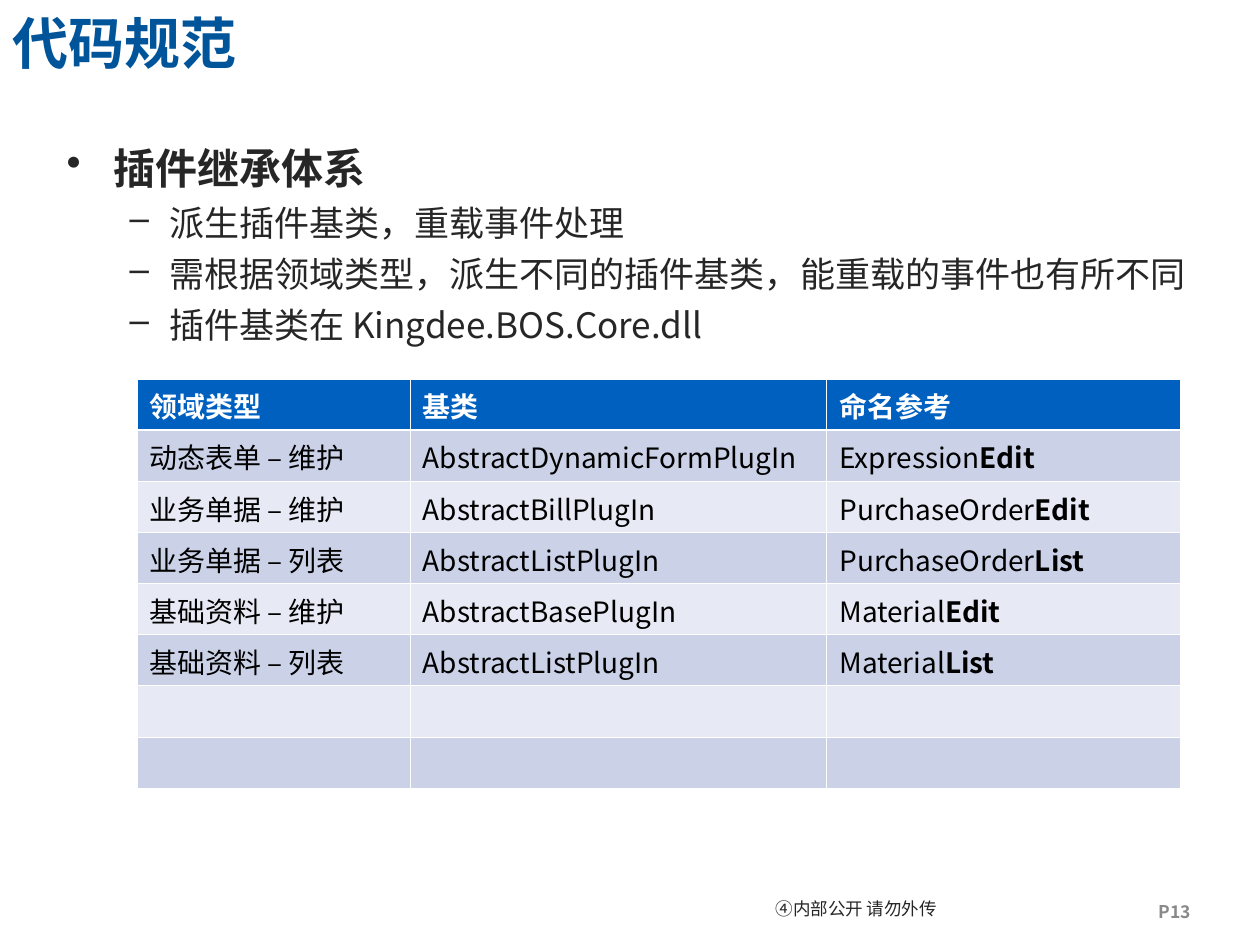
from dataclasses import dataclass

from lxml import etree
from pptx import Presentation
from pptx.dml.color import RGBColor
from pptx.enum import text
from pptx.oxml import ns
from pptx.util import Pt

# Content
TITLE = "代码规范"
BULLETS = [  # level, wording
    (0, "插件继承体系"),
    (1, "派生插件基类，重载事件处理"),
    (1, "需根据领域类型，派生不同的插件基类，能重载的事件也有所不同"),
    (1, "插件基类在 Kingdee.BOS.Core.dll"),
]
HEADER = ("领域类型", "基类", "命名参考")
PLUGINS = [  # domain, base class, name stem, bold name suffix
    ("动态表单 – 维护", "AbstractDynamicFormPlugIn", "Expression", "Edit"),
    ("业务单据 – 维护", "AbstractBillPlugIn", "PurchaseOrder", "Edit"),
    ("业务单据 – 列表", "AbstractListPlugIn", "PurchaseOrder", "List"),
    ("基础资料 – 维护", "AbstractBasePlugIn", "Material", "Edit"),
    ("基础资料 – 列表", "AbstractListPlugIn", "Material", "List"),
]
EMPTY_ROWS = 2
NOTICE = "④内部公开 请勿外传"
PAGE = "P13"


@dataclass(frozen=True)
class Theme:
    font: str = "Noto Sans CJK SC"
    title: str = "00549A"
    body: str = "262626"
    page: str = "898989"
    cell: str = "000000"
    white: str = "FFFFFF"
    header: str = "0060C0"
    bands: tuple = ("CBD2E8", "E7EAF4")
    title_size: int = 32
    level_sizes: tuple = (24, 20)
    table_size: int = 16
    small_size: int = 10


THEME = Theme()
LEVELS = [  # bullet, left margin, hanging indent, space before
    ("•", 27, 27, 0),
    ("–", 58.5, 22.5, 5),
]
COLUMNS = (156, 238, 202)
ROW_HEIGHT = 29.2


def style_run(run, size, color, bold=False):
    font = run.font
    font.name, font.size, font.bold = THEME.font, Pt(size), bold
    font.color.rgb = RGBColor.from_string(color)
    east_asian = etree.SubElement(run._r.get_or_add_rPr(), ns.qn("a:ea"))
    east_asian.set("typeface", THEME.font)


def add_run(paragraph, wording, size, color, bold=False):
    run = paragraph.add_run()
    run.text = wording
    style_run(run, size, color, bold)


def add_box(slide, left, top, width, height, anchor=text.MSO_ANCHOR.TOP):
    box = slide.shapes.add_textbox(Pt(left), Pt(top), Pt(width), Pt(height))
    frame = box.text_frame
    frame.word_wrap = True
    frame.vertical_anchor = anchor
    return frame


def add_bullet(paragraph, level):
    symbol, margin, hanging, before = LEVELS[level]
    paragraph.level = level
    paragraph.space_before = Pt(before)
    properties = paragraph._p.get_or_add_pPr()
    properties.set("marL", str(Pt(margin)))
    properties.set("indent", str(-Pt(hanging)))
    etree.SubElement(properties, ns.qn("a:buChar")).set("char", symbol)


def style_cell(cell, fill, top=0.45, bottom=0.45):
    properties = cell._tc.get_or_add_tcPr()
    for side, width in (("L", 0.45), ("R", 0.45), ("T", top), ("B", bottom)):
        line = etree.SubElement(properties, ns.qn(f"a:ln{side}"), w=str(Pt(width)))
        solid = etree.SubElement(line, ns.qn("a:solidFill"))
        etree.SubElement(solid, ns.qn("a:srgbClr"), val=THEME.white)
    cell.fill.solid()
    cell.fill.fore_color.rgb = RGBColor.from_string(fill)


def add_plugin_table(slide):
    row_count = 1 + len(PLUGINS) + EMPTY_ROWS
    table = slide.shapes.add_table(
        row_count, len(COLUMNS), Pt(78.5), Pt(216.7),
        Pt(sum(COLUMNS)), Pt(row_count * ROW_HEIGHT)).table
    for column, width in zip(table.columns, COLUMNS):
        column.width = Pt(width)
    for index, row in enumerate(table.rows):
        row.height = Pt(ROW_HEIGHT)
        fill = THEME.bands[(index - 1) % 2] if index else THEME.header
        for cell in row.cells:
            style_cell(cell, fill, top=1.47 if index == 1 else 0.45,
                       bottom=0.45 if index else 1.47)

    def write(row, column, wording, color=THEME.cell, bold=False):
        paragraph = table.cell(row, column).text_frame.paragraphs[0]
        add_run(paragraph, wording, THEME.table_size, color, bold)

    for column, heading in enumerate(HEADER):
        write(0, column, heading, THEME.white, True)
    for row, (domain, base, stem, suffix) in enumerate(PLUGINS, 1):
        write(row, 0, domain)
        write(row, 1, base)
        write(row, 2, stem)
        write(row, 2, suffix, bold=True)


def main():
    presentation = Presentation()
    presentation.slide_width, presentation.slide_height = Pt(720), Pt(540)
    slide = presentation.slides.add_slide(presentation.slide_layouts[6])

    # Footer
    notice = add_box(slide, 425.5, 505.4, 127.5, 26, text.MSO_ANCHOR.MIDDLE)
    notice.margin_left = notice.margin_right = Pt(5.8)
    notice.margin_top = notice.margin_bottom = Pt(0.7)
    paragraph = notice.paragraphs[0]
    paragraph.alignment = text.PP_ALIGN.CENTER
    paragraph.line_spacing = Pt(14)
    add_run(paragraph, NOTICE, THEME.small_size, THEME.body)
    page = add_box(slide, 655.2, 511.2, 64.8, 21)
    add_run(page.paragraphs[0], PAGE, THEME.small_size, THEME.page, True)

    # Title
    title = add_box(slide, 0, 2.2, 565, 43.2, text.MSO_ANCHOR.MIDDLE)
    add_run(title.paragraphs[0], TITLE, THEME.title_size, THEME.title, True)

    # Bulleted body
    body = add_box(slide, 31, 77.8, 656, 404.6)
    for index, (level, wording) in enumerate(BULLETS):
        paragraph = body.add_paragraph() if index else body.paragraphs[0]
        add_bullet(paragraph, level)
        add_run(paragraph, wording, THEME.level_sizes[level], THEME.body, level == 0)

    # Table of base classes
    add_plugin_table(slide)

    presentation.save("out.pptx")


if __name__ == "__main__":
    main()
